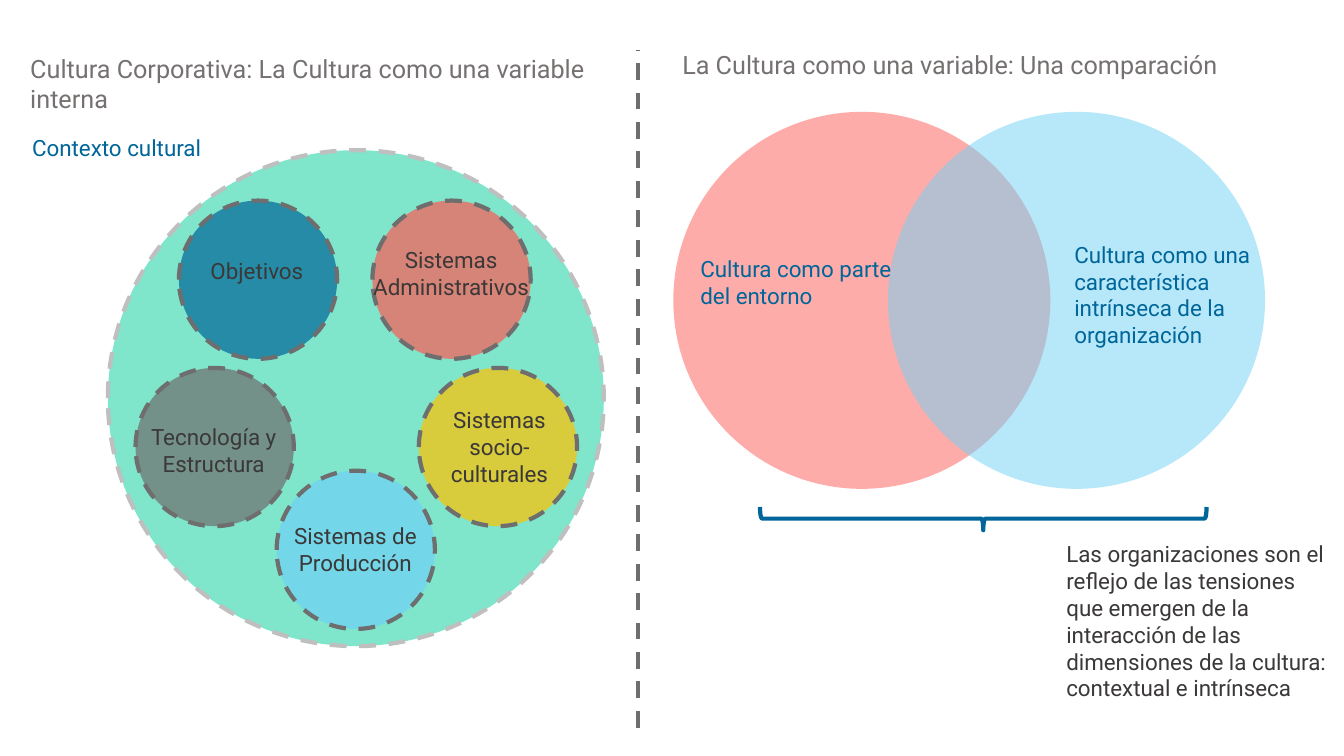
"""Slide that contrasts culture as an internal variable with two views of culture."""
from dataclasses import dataclass

from lxml import etree
from pptx import Presentation
from pptx import util as u
from pptx.dml.color import RGBColor
from pptx.enum import dml, shapes, text
from pptx.oxml.ns import qn

CELL = u.Inches(0.1)
COLUMNS, ROWS = 133.33, 75
FONT = "Roboto"
GREEN = RGBColor(0x00, 0xCC, 0x99)
CORAL = RGBColor(0xFC, 0x5A, 0x56)
BLUE = RGBColor(0x00, 0x66, 0x99)
SKY = RGBColor(0x6E, 0xD2, 0xF6)
AMBER = RGBColor(0xFF, 0xC0, 0x00)
GRAY = RGBColor(0x6E, 0x6E, 0x6E)
SILVER = RGBColor(0xBF, 0xBF, 0xBF)
HEADING = RGBColor(0x76, 0x71, 0x71)
INK = RGBColor(0x3B, 0x38, 0x38)


@dataclass(frozen=True)
class Area:
    """Place on the grid, in columns and rows."""
    column: float
    row: float
    columns: float
    rows: float

    def emu(self) -> tuple[int, ...]:
        """Return left, top, width and height."""
        return tuple(round(n * CELL) for n in (self.column, self.row, self.columns, self.rows))


@dataclass(frozen=True)
class Circle:
    """Translucent disc given by its centre and diameter."""
    x: float
    y: float
    diameter: float
    fill: RGBColor
    opacity: int
    outline: RGBColor | None = None


@dataclass(frozen=True)
class Label:
    """Text with its place and format."""
    content: str
    area: Area
    color: RGBColor = INK
    size: int = 16
    centered: bool = False
    wrap: bool = True


AXIS = 35.3
SUBSYSTEM = 15.7
CONTEXT = Circle(AXIS, 39.5, 49.2, GREEN, 50, SILVER)
SUBSYSTEMS = [
    Circle(AXIS + offset, y, SUBSYSTEM, fill, 70, GRAY)
    for offset, y, fill in (
        (9.5, 27.75, CORAL), (-9.7, 27.75, BLUE), (0, 54.55, SKY),
        (14.1, 44.35, AMBER), (-14.0, 44.35, GRAY),
    )
]
VIEWS = [Circle(x, 29.8, 37.4, fill, 50) for x, fill in ((85.5, CORAL), (106.8, SKY))]

TITLE = Label("Cultura Corporativa: La Cultura como una variable interna",
              Area(2, 4.8, 57.9, 7.1), HEADING, 18)
LEFT_LABELS = [
    Label("Objetivos", Area(19.9, 25, 11.4, 3.7), wrap=False),
    Label("Sistemas Administrativos", Area(34.2, 23.9, 21.1, 6.4), centered=True),
    Label("Sistemas socio-culturales", Area(41.7, 39.8, 15.7, 9.1), centered=True),
    Label("Sistemas de Producción", Area(27.5, 51.3, 15.5, 6.4), centered=True),
    Label("Tecnología y Estructura", Area(13.4, 41.5, 15.6, 6.4), centered=True),
    Label("Contexto cultural", Area(2.2, 12.8, 19.1, 3.7), BLUE, wrap=False),
]
RIGHT_LABELS = [
    Label("La Cultura como una variable: Una comparación",
          Area(66.7, 4.4, 57.9, 4), HEADING, 18),
    Label("Cultura como parte\ndel entorno", Area(68.5, 24.8, 21.2, 6.4), BLUE, wrap=False),
    Label("Cultura como una característica intrínseca de la organización",
          Area(105.6, 23.4, 20.7, 11.8), BLUE),
    Label("Las organizaciones son el reflejo de las tensiones que emergen de la "
          "interacción de las dimensiones de la cultura: contextual e intrínseca",
          Area(104.8, 53.1, 28.1, 17.2)),
]


def write(frame, content: str, *, size: int, color: RGBColor, centered: bool, wrap: bool) -> None:
    """Fill a text frame, one paragraph a line."""
    frame.text = content
    frame.word_wrap = wrap
    frame.auto_size = text.MSO_AUTO_SIZE.NONE
    frame.vertical_anchor = text.MSO_ANCHOR.TOP
    for paragraph in frame.paragraphs:
        paragraph.alignment = text.PP_ALIGN.CENTER if centered else text.PP_ALIGN.LEFT
        paragraph.font.name = FONT
        paragraph.font.size = u.Pt(size)
        paragraph.font.color.rgb = color


def put_label(holder, label: Label) -> None:
    """Place and write a label in a text box or placeholder."""
    holder.left, holder.top, holder.width, holder.height = label.area.emu()
    write(holder.text_frame, label.content, size=label.size, color=label.color,
          centered=label.centered, wrap=label.wrap)


def add_label(slide, label: Label) -> None:
    """Add a text box for a label."""
    put_label(slide.shapes.add_textbox(*label.area.emu()), label)


def stroke(line, color: RGBColor, dashed: bool = True) -> None:
    """Give a line its colour, weight and dash."""
    line.color.rgb = color
    line.width = u.Pt(3)
    if dashed:
        line.dash_style = dml.MSO_LINE.DASH


def add_circle(slide, circle: Circle) -> None:
    """Draw a translucent circle."""
    radius = circle.diameter / 2
    area = Area(circle.x - radius, circle.y - radius, circle.diameter, circle.diameter)
    disc = slide.shapes.add_shape(shapes.MSO_SHAPE.OVAL, *area.emu())
    disc.shadow.inherit = False
    disc.fill.solid()
    disc.fill.fore_color.rgb = circle.fill
    tint = disc.fill._xPr.find(qn("a:solidFill"))[0]
    etree.SubElement(tint, qn("a:alpha")).set("val", str(circle.opacity * 1000))
    if circle.outline is None:
        disc.line.fill.background()
    else:
        stroke(disc.line, circle.outline)


def add_divider(slide, column: float, bottom: float, top: float) -> None:
    """Draw the dashed line between the two halves."""
    x, start, end = (round(n * CELL) for n in (column, bottom, top))
    divider = slide.shapes.add_connector(shapes.MSO_CONNECTOR.STRAIGHT, x, start, x, end)
    stroke(divider.line, GRAY)
    etree.SubElement(divider._element.spPr, qn("a:effectLst"))


def add_brace(slide, area: Area) -> None:
    """Draw the brace that gathers both views."""
    brace = slide.shapes.add_shape(shapes.MSO_SHAPE.LEFT_BRACE, *area.emu())
    brace.rotation = 270
    brace.shadow.inherit = False
    brace.fill.background()
    stroke(brace.line, BLUE, dashed=False)


def main() -> None:
    """Build and save the slide."""
    deck = Presentation()
    deck.slide_width = round(COLUMNS * CELL)
    deck.slide_height = ROWS * CELL
    slide = deck.slides.add_slide(deck.slide_layouts.get_by_name("Title Only"))
    put_label(slide.shapes.title, TITLE)
    for circle in (CONTEXT, *SUBSYSTEMS):
        add_circle(slide, circle)
    for label in LEFT_LABELS:
        add_label(slide, label)
    add_divider(slide, 63.3, 72.2, 5)
    for circle in VIEWS:
        add_circle(slide, circle)
    for label in RIGHT_LABELS:
        add_label(slide, label)
    add_brace(slide, Area(96.4, 29.3, 2.3, 44.3))
    deck.save("out.pptx")


if __name__ == "__main__":
    main()
